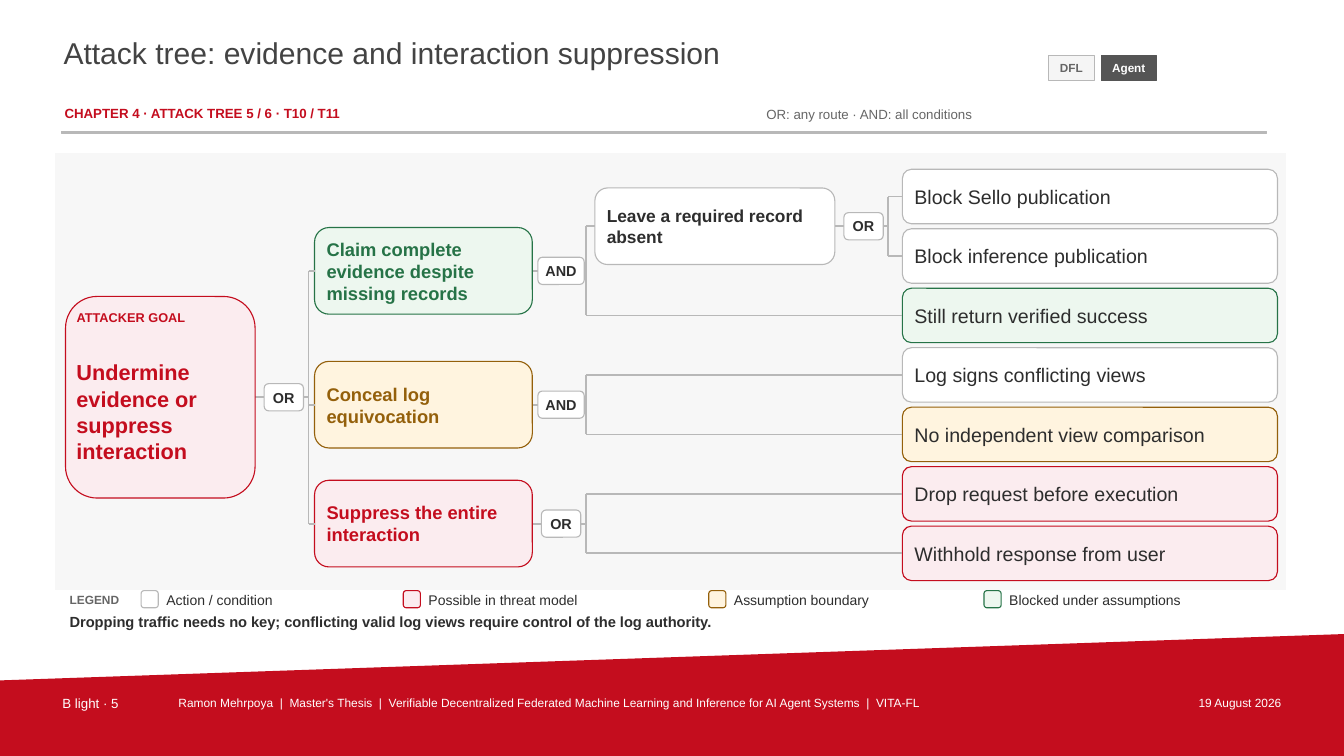
import itertools
from dataclasses import dataclass

import pptx
import pptx.dml.color
import pptx.enum.shapes
import pptx.enum.text
import pptx.oxml.ns
import pptx.util
from lxml import etree

Inches = pptx.util.Inches
Pt = pptx.util.Pt
RGBColor = pptx.dml.color.RGBColor
Kind = pptx.enum.shapes.MSO_SHAPE
Anchor = pptx.enum.text.MSO_ANCHOR
Align = pptx.enum.text.PP_ALIGN

WHITE = RGBColor(0xFF, 0xFF, 0xFF)
RED = RGBColor(0xC4, 0x0D, 0x1E)
ROSE = RGBColor(0xFB, 0xEC, 0xEF)
GREEN = RGBColor(0x26, 0x73, 0x47)
MINT = RGBColor(0xED, 0xF7, 0xEF)
BROWN = RGBColor(0x94, 0x60, 0x0B)
CREAM = RGBColor(0xFF, 0xF4, 0xDF)
INK = RGBColor(0x2D, 0x2D, 0x2D)
TITLE_GRAY = RGBColor(0x43, 0x43, 0x43)
DARK_GRAY = RGBColor(0x55, 0x55, 0x55)
MID_GRAY = RGBColor(0x66, 0x66, 0x66)
RULE_GRAY = RGBColor(0xB8, 0xB8, 0xB8)
TAG_GRAY = RGBColor(0xF5, 0xF5, 0xF5)
PANEL_GRAY = RGBColor(0xF7, 0xF7, 0xF7)

TONES = {
    "action": (WHITE, RULE_GRAY, INK),
    "possible": (ROSE, RED, RED),
    "assumption": (CREAM, BROWN, BROWN),
    "blocked": (MINT, GREEN, GREEN),
}
LEVELS = {
    "goal": (0.1, 1.88, 2, 15.5),
    "branch": (2.57, 2.16, 0.86, 13.1),
    "step": (5.35, 2.38, 0.76, 12.4),
    "leaf": (8.4, 3.72, 0.54, 14),
}
FIRST_ROW, ROW_PITCH = 0.43, 0.59
BUS_GAP, BADGE_GAP, BADGE_HEIGHT = 0.53, 0.285, 0.27
BADGE_WIDTHS = {"OR": 0.39, "AND": 0.46}
CORNER_INSET = 0.05


@dataclass
class Node:
    """One statement of the attack tree with the routes below it."""
    text: str
    level: str
    tone: str = "action"
    operator: str = ""
    children: tuple = ()


ATTACK_TREE = Node("Undermine evidence or suppress interaction", "goal", "possible", "OR", (
    Node("Claim complete evidence despite missing records", "branch", "blocked", "AND", (
        Node("Leave a required record absent", "step", "action", "OR", (
            Node("Block Sello publication", "leaf"),
            Node("Block inference publication", "leaf"))),
        Node("Still return verified success", "leaf", "blocked"))),
    Node("Conceal log equivocation", "branch", "assumption", "AND", (
        Node("Log signs conflicting views", "leaf"),
        Node("No independent view comparison", "leaf", "assumption"))),
    Node("Suppress the entire interaction", "branch", "possible", "OR", (
        Node("Drop request before execution", "leaf", "possible"),
        Node("Withhold response from user", "leaf", "possible")))))


def write(shape, text, size, color, bold=False, align=Align.LEFT, anchor=Anchor.MIDDLE,
          insets=(0, 0, 0, 0), wrap=True):
    """Fill a shape's text frame with one styled paragraph."""
    frame = shape.text_frame
    frame.word_wrap = wrap
    frame.vertical_anchor = anchor
    frame.margin_left, frame.margin_top, frame.margin_right, frame.margin_bottom = map(Inches, insets)
    paragraph = frame.paragraphs[0]
    paragraph.text = text
    paragraph.alignment = align
    paragraph.font.name = "Arial"
    paragraph.font.size = Pt(size)
    paragraph.font.bold = bold
    paragraph.font.color.rgb = color


def add_label(slide, box, text, size, color, **style):
    """Add a text box."""
    write(slide.shapes.add_textbox(*map(Inches, box)), text, size, color, **style)


def add_panel(slide, box, fill, line, width=0.8, kind=Kind.ROUNDED_RECTANGLE):
    """Add a filled and outlined shape."""
    shape = slide.shapes.add_shape(kind, *map(Inches, box))
    shape.shadow.inherit = False
    shape.fill.solid()
    shape.fill.fore_color.rgb = fill
    shape.line.color.rgb = line
    shape.line.width = Pt(width)
    return shape


def add_line(slide, x1, y1, x2, y2):
    """Add a straight tree line."""
    line = slide.shapes.add_connector(
        pptx.enum.shapes.MSO_CONNECTOR.STRAIGHT, *map(Inches, (x1, y1, x2, y2)))
    line.line.color.rgb = RULE_GRAY
    line.line.width = Pt(1.25)
    etree.SubElement(line._element.spPr, pptx.oxml.ns.qn("a:effectLst"))


def add_header(slide, box):
    """Add title, chapter line, tags and rule."""
    left, top, width, height = box
    small = (0.02, 0.02, 0.02, 0.02)
    add_label(slide, (left, top, 9.65, 0.62), "Attack tree: evidence and interaction suppression",
              21.5, TITLE_GRAY, anchor=Anchor.TOP, insets=small)
    add_label(slide, (left + 0.01, top + 0.7, 6.8, 0.22), "CHAPTER 4 · ATTACK TREE 5 / 6 · T10 / T11",
              9.5, RED, bold=True, anchor=Anchor.TOP, insets=small)
    add_label(slide, (left + 6.99, top + 0.7, 3.79, 0.22), "OR: any route · AND: all conditions",
              9.5, MID_GRAY)
    add_panel(slide, (left, top + height - 0.02, width, 0.02), RULE_GRAY, RULE_GRAY, 0.5, Kind.RECTANGLE)
    tags = (("DFL", 9.79, 0.45, TAG_GRAY, RULE_GRAY, MID_GRAY),
            ("Agent", 10.31, 0.55, DARK_GRAY, DARK_GRAY, WHITE))
    for text, offset, tag_width, fill, line, color in tags:
        tag = add_panel(slide, (left + offset, top + 0.23, tag_width, 0.25), fill, line, 0.55, Kind.RECTANGLE)
        write(tag, text, 8.4, color, bold=True, align=Align.CENTER)


def add_fork(slide, right, middle, operator, targets):
    """Join a node to its children and mark the operator."""
    bus = right + BUS_GAP
    add_line(slide, right, middle, bus, middle)
    add_line(slide, bus, targets[0][1], bus, targets[-1][1])
    for target_left, target_middle in targets:
        add_line(slide, bus, target_middle, target_left, target_middle)
    width = BADGE_WIDTHS[operator]
    badge = add_panel(slide, (right + BADGE_GAP - width / 2, middle - BADGE_HEIGHT / 2, width, BADGE_HEIGHT),
                      WHITE, RULE_GRAY)
    write(badge, operator, 10.3, INK, bold=True, align=Align.CENTER, wrap=False)


def add_node(slide, box, node, rows):
    """Place a node and its subtree, returning its left edge and middle."""
    offset, width, height, size = LEVELS[node.level]
    left = box[0] + offset
    if node.children:
        targets = [add_node(slide, box, child, rows) for child in node.children]
        middle = (targets[0][1] + targets[-1][1]) / 2
        add_fork(slide, left + width, middle, node.operator, targets)
    else:
        middle = box[1] + FIRST_ROW + ROW_PITCH * next(rows)
    top = middle - height / 2
    fill, line, color = TONES[node.tone]
    shape = add_panel(slide, (left, top, width, height), fill, line)
    is_leaf, is_goal = node.level == "leaf", node.level == "goal"
    side = (0.11 if is_goal else 0.12) - CORNER_INSET * min(width, height)
    write(shape, node.text, size, INK if is_leaf else color, bold=not is_leaf,
          insets=(side, 0.28 if is_goal else 0, side, 0))
    if is_goal:
        add_label(slide, (left + 0.11, top + 0.11, width - 0.22, 0.2), "ATTACKER GOAL", 9.1, color, bold=True)
    return left, middle


def add_tree(slide, box):
    """Add the gray panel and the attack tree on it."""
    add_panel(slide, box, PANEL_GRAY, PANEL_GRAY, 0.5, Kind.RECTANGLE)
    add_node(slide, box, ATTACK_TREE, itertools.count())


def add_legend(slide, box):
    """Add the colour key and the takeaway below it."""
    left, top, width, height = box
    add_label(slide, (left, top, 0.64, 0.22), "LEGEND", 8.5, MID_GRAY, bold=True)
    entries = (("action", 0.71, "Action / condition"), ("possible", 3.31, "Possible in threat model"),
               ("assumption", 6.34, "Assumption boundary"), ("blocked", 9.07, "Blocked under assumptions"))
    for tone, offset, text in entries:
        add_panel(slide, (left + offset, top + 0.02, 0.17, 0.17), *TONES[tone][:2])
        add_label(slide, (left + offset + 0.25, top, 2.4, 0.22), text, 10, INK)
    add_label(slide, (left, top + height - 0.21, width, 0.21),
              "Dropping traffic needs no key; conflicting valid log views require control of the log authority.",
              10.5, INK, bold=True)


def add_footer(slide, box):
    """Add the slanted red band with its three labels."""
    left, top, width, height = box
    right, bottom = left + width, top + height
    builder = slide.shapes.build_freeform(Inches(left), Inches(top + 0.46))
    builder.add_line_segments([(Inches(x), Inches(y)) for x, y in (
        (right, top), (right, bottom), (left, bottom))], close=True)
    band = builder.convert_to_shape()
    band.shadow.inherit = False
    band.fill.solid()
    band.fill.fore_color.rgb = RED
    band.line.fill.background()
    labels = ((0.6, 1.1, "B light · 5", 9.5, Align.LEFT),
              (1.75, 9.35, "Ramon Mehrpoya  |  Master's Thesis  |  Verifiable Decentralized Federated Machine "
               "Learning and Inference for AI Agent Systems  |  VITA-FL", 8.5, Align.LEFT),
              (11.2, 1.53, "19 August 2026", 8.5, Align.RIGHT))
    for offset, label_width, text, size, align in labels:
        add_label(slide, (left + offset, top + 0.59, label_width, 0.22), text, size, WHITE,
                  align=align, anchor=Anchor.TOP, insets=(0.02, 0.02, 0.02, 0.02))


def main():
    """Build the slide and save it."""
    presentation = pptx.Presentation()
    presentation.slide_width = Inches(13.33)
    presentation.slide_height = Inches(7.5)
    slide = presentation.slides.add_slide(presentation.slide_layouts[6])
    add_footer(slide, (0, 6.29, 13.33, 1.21))
    add_header(slide, (0.61, 0.32, 11.95, 1))
    add_tree(slide, (0.55, 1.52, 12.2, 4.33))
    add_legend(slide, (0.69, 5.84, 11.96, 0.43))
    presentation.save("out.pptx")


if __name__ == "__main__":
    main()
